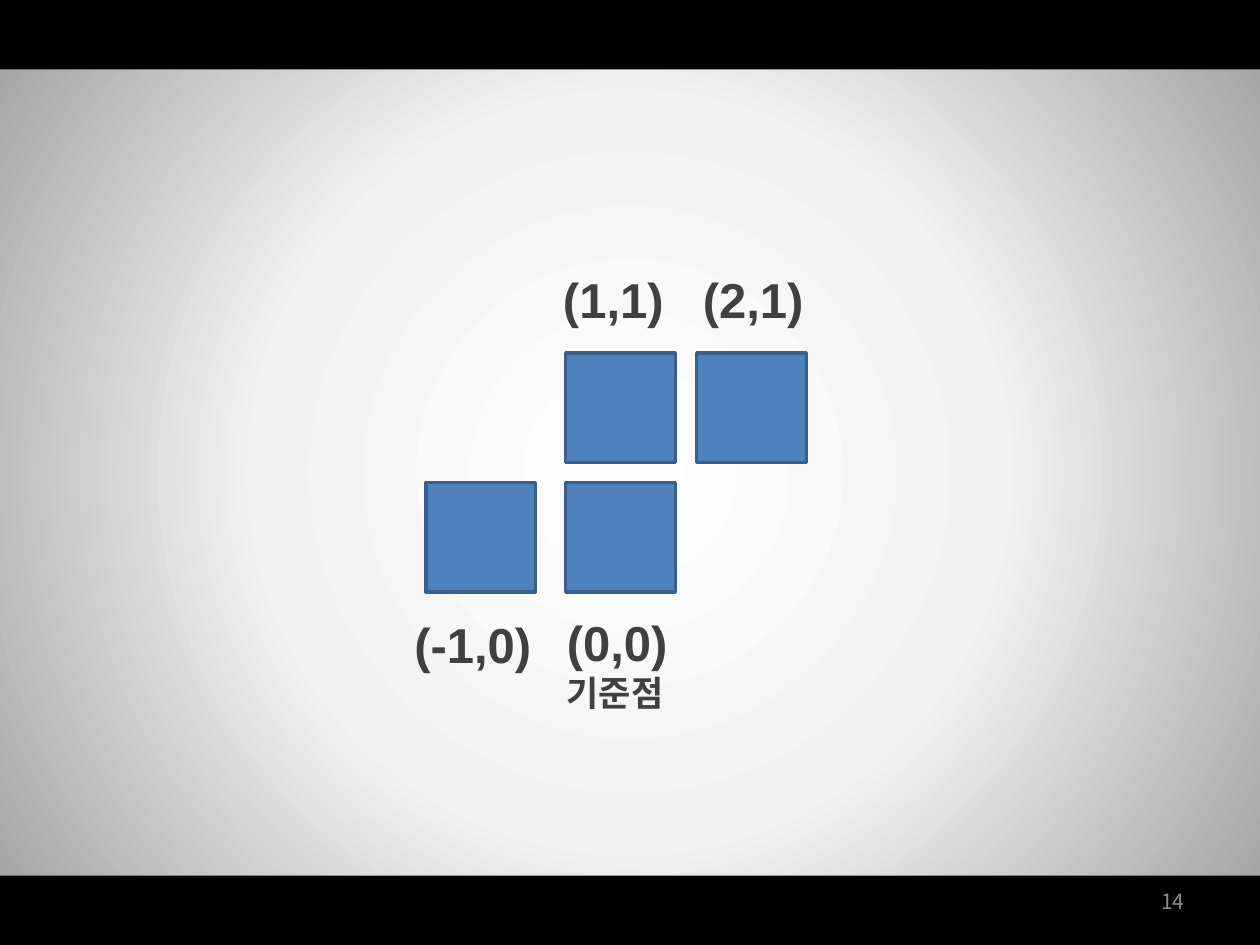
from pptx import Presentation, util as u
from pptx.dml.color import RGBColor
from pptx.enum import shapes, text
from pptx.oxml import parse_xml
from pptx.oxml.ns import nsdecls, qn

theme = dict(
    bar="000000", block="4F81BD", edge="3A5F8C", ink="404040", number="8C8C8C",
    glow=[(0, "FFFFFF"), (50, "F2F2F2"), (100, "A6A6A6")],
    latin="Arial", korean="Noto Sans CJK KR",
    label=28, note=20, page=12, line=2,
)
W, H = 10, 7.5
BAR = 0.55
SIDE = 0.87
COLS = {-1: 3.38, 0: 4.49, 1: 4.49, 2: 5.53}  # left edge by block x
ROWS = {1: 2.8, 0: 3.83}  # top edge by block y

prs = Presentation()
prs.slide_width, prs.slide_height = u.Inches(W), u.Inches(H)
s = prs.slides.add_slide(prs.slide_layouts[6])


def add_rect(x, y, w, h, fill, line=None):
    sp = s.shapes.add_shape(shapes.MSO_SHAPE.RECTANGLE, *map(u.Inches, (x, y, w, h)))
    sp.shadow.inherit = False
    sp.fill.solid()
    sp.fill.fore_color.rgb = RGBColor.from_string(fill)
    if line:
        sp.line.color.rgb = RGBColor.from_string(line)
        sp.line.width = u.Pt(theme["line"])
    else:
        sp.line.fill.background()
    return sp


def add_text(x, y, w, h, lines, font, color, bold=False):
    tf = s.shapes.add_textbox(*map(u.Inches, (x, y, w, h))).text_frame
    for i, (words, size) in enumerate(lines):
        p = tf.add_paragraph() if i else tf.paragraphs[0]
        r = p.add_run()
        r.text = words
        p.font.size, p.font.bold, p.font.name = u.Pt(size), bold, font
        p.font.color.rgb = RGBColor.from_string(color)
        # East Asian typeface for the Korean words
        r.font._element.append(
            parse_xml(f'<a:ea {nsdecls("a")} typeface="{theme["korean"]}"/>'))
    return tf


# Background panel with a radial glow
panel = add_rect(0, BAR, W, H - 2 * BAR, theme["glow"][0][1])
stops = "".join(f'<a:gs pos="{pos * 1000}"><a:srgbClr val="{c}"/></a:gs>'
                for pos, c in theme["glow"])
solid = panel._element.spPr.find(qn("a:solidFill"))
panel._element.spPr.replace(solid, parse_xml(
    f'<a:gradFill {nsdecls("a")}><a:gsLst>{stops}</a:gsLst><a:path path="circle">'
    '<a:fillToRect l="50000" t="50000" r="50000" b="50000"/></a:path></a:gradFill>'))

# Black bars at top and bottom
for y in (0, H - BAR):
    add_rect(0, y, W, BAR, theme["bar"])

# Page number
tf = add_text(7.17, H - BAR, 2.33, 0.4, [("14", theme["page"])],
              theme["korean"], theme["number"])
tf.word_wrap = True
tf.vertical_anchor = text.MSO_ANCHOR.MIDDLE
tf.paragraphs[0].alignment = text.PP_ALIGN.RIGHT

# Blocks of the piece
for x, y in ((-1, 0), (0, 0), (1, 1), (2, 1)):
    add_rect(COLS[x], ROWS[y], SIDE, SIDE, theme["block"], theme["edge"])

# Coordinate labels
for x, y, w, h, words, *note in (
    (4.4, 4.81, 1.04, 0.91, "(0,0)", "기준점"),
    (4.37, 2.09, 1.04, 0.57, "(1,1)"),
    (5.48, 2.09, 1.04, 0.57, "(2,1)"),
    (3.19, 4.83, 1.2, 0.57, "(-1,0)"),
):
    lines = [(words, theme["label"])] + [(n, theme["note"]) for n in note]
    tf = add_text(x, y, w, h, lines, theme["latin"], theme["ink"], bold=True)
    tf.word_wrap = False
    tf.auto_size = text.MSO_AUTO_SIZE.SHAPE_TO_FIT_TEXT

prs.save("out.pptx")
